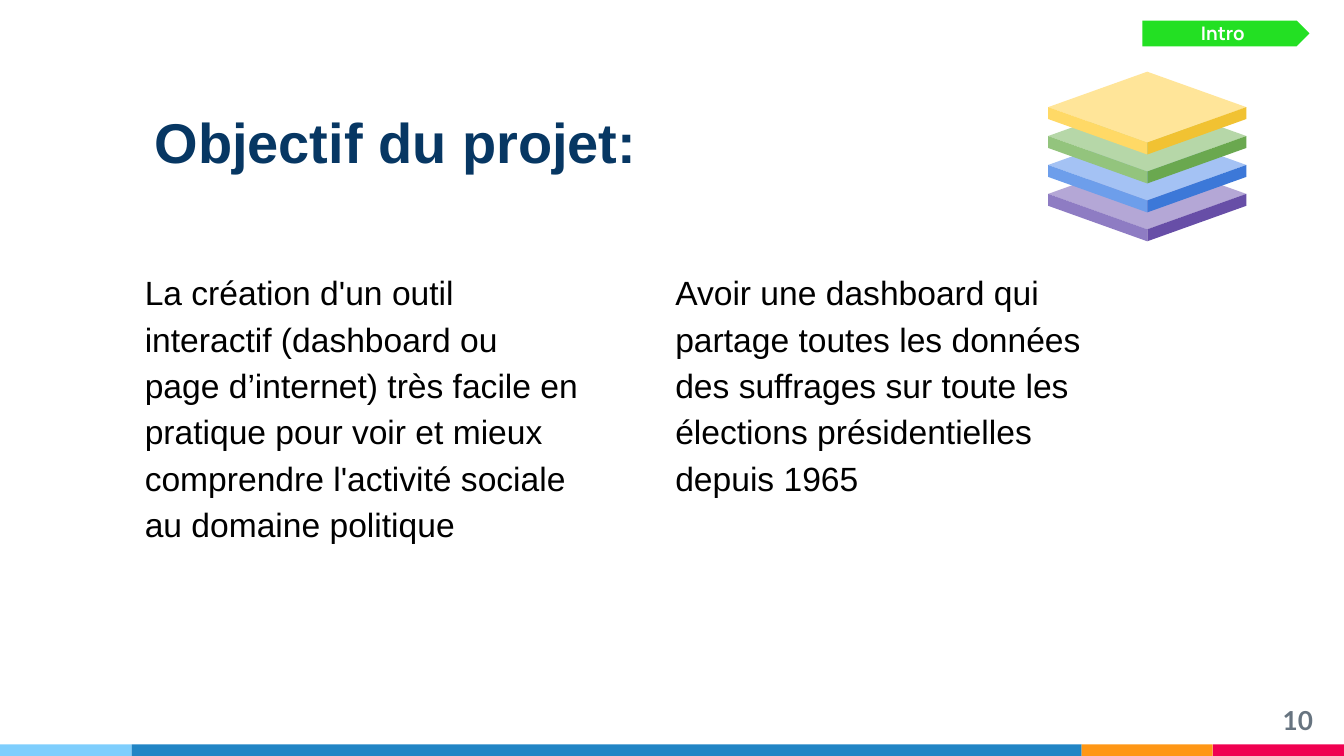
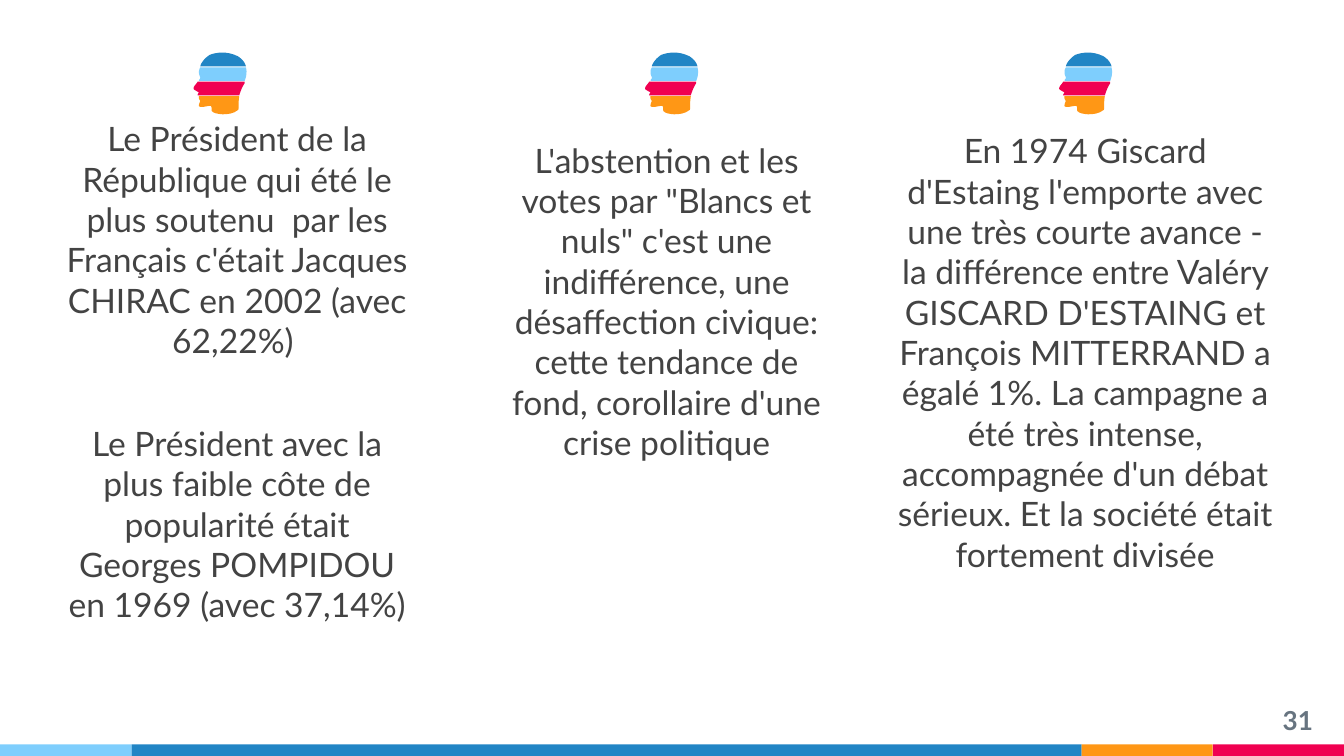
from dataclasses import dataclass

from pptx import Presentation
from pptx.dml.color import RGBColor
from pptx.enum.shapes import MSO_SHAPE
from pptx.enum.text import MSO_ANCHOR, MSO_AUTO_SIZE, PP_ALIGN
from pptx.util import Pt


@dataclass(frozen=True)
class Theme:
    sky: str = "7ECEFD"
    blue: str = "2185C5"
    orange: str = "FF9715"
    red: str = "F00051"
    navy: str = "073763"
    black: str = "000000"
    charcoal: str = "434343"
    slate: str = "677480"
    white: str = "FFFFFF"
    green: str = "23E023"
    plain_font: str = "Arial"
    lato_font: str = "Lato"
    tag_font: str = "Manrope"
    title_size: float = 30
    body_size: float = 18
    number_size: float = 14
    tag_size: float = 10
    inset: float = 7.2


THEME = Theme()

TITLE_STYLE = dict(name=THEME.plain_font, size=Pt(THEME.title_size), bold=True, color=THEME.navy)
GOAL_STYLE = dict(name=THEME.plain_font, size=Pt(THEME.body_size), color=THEME.black)
FINDING_STYLE = dict(name=THEME.lato_font, size=Pt(THEME.body_size), color=THEME.charcoal)
NUMBER_STYLE = dict(name=THEME.lato_font, size=Pt(THEME.number_size), bold=True, color=THEME.slate)
TAG_STYLE = dict(name=THEME.tag_font, size=Pt(THEME.tag_size), bold=True, color=THEME.white)

BANDS = [(THEME.sky, 70.5), (THEME.blue, 509), (THEME.orange, 70.25), (THEME.red, 70.25)]

LAYERS = [
    ("B4A7D6", "8E7CC3", "674EA7"),
    ("A4C2F4", "6D9EEB", "3C78D8"),
    ("B6D7A8", "93C47D", "6AA84F"),
    ("FFE599", "FFD966", "F1C232"),
]

HEAD_UNIT = 0.72
HEAD_PARTS = [
    (THEME.orange, [
        (4, 33.7), (4, 35), (4, 36, 5, 37, 5, 37), (5, 38, 4, 39, 4, 41),
        (5, 43, 13, 40, 13, 41), (14, 42, 13, 45, 14, 45),
        (15, 47, 27, 49, 33, 44), (34, 44, 33, 41, 34, 33.7),
    ]),
    (THEME.red, [
        (0, 28), (0, 29, 3, 30, 4, 31), (4, 31, 3, 32, 3, 33), (4, 33.1),
        (34, 33.1), (35, 30, 36, 27, 38, 24), (38, 22.9), (3, 22.9),
        (2, 25, 0, 26, 0, 28),
    ]),
    (THEME.sky, [
        (4, 16), (4, 18, 5, 19, 5, 20), (5, 21, 4, 21, 4, 22.3), (38, 22.3),
        (39, 20, 40, 16, 39, 12.2), (5, 12.2), (4, 14, 4, 15, 4, 16),
    ]),
    (THEME.blue, [
        (33, 4), (25, 0, 17, 1, 12, 3), (9, 5, 6, 8, 5, 11.5), (39, 11.5),
        (38, 8, 36, 6, 33, 4),
    ]),
]


def set_all(target, values):
    for name, value in values.items():
        setattr(target, name, value)


def paint(shape, color):
    shape.shadow.inherit = False
    shape.fill.solid()
    shape.fill.fore_color.rgb = RGBColor.from_string(color)
    shape.line.fill.background()


def place(shape, left, top, width, height):
    set_all(shape, dict(left=Pt(left), top=Pt(top), width=Pt(width), height=Pt(height)))


def write(shape, texts, style, anchor=MSO_ANCHOR.TOP, gap=0, **layout):
    frame = shape.text_frame
    sides = ("left", "top", "right", "bottom")
    set_all(frame, {f"margin_{side}": Pt(THEME.inset) for side in sides})
    set_all(frame, dict(word_wrap=True, auto_size=MSO_AUTO_SIZE.NONE, vertical_anchor=anchor))
    for index, text in enumerate(texts):
        para = frame.add_paragraph() if index else frame.paragraphs[0]
        set_all(para, layout)
        if index:
            para.space_before = Pt(gap)
        span = para.add_run()
        span.text = text
        set_all(span.font, {key: value for key, value in style.items() if key != "color"})
        span.font.color.rgb = RGBColor.from_string(style["color"])


def add_text(page, area, texts, style, **options):
    box = page.shapes.add_textbox(*map(Pt, area))
    write(box, texts, style, **options)


def add_title(page, area, text):
    place(page.shapes.title, *area)
    write(page.shapes.title, [text], TITLE_STYLE, anchor=MSO_ANCHOR.BOTTOM, alignment=PP_ALIGN.LEFT)


def add_number(page, number):
    add_text(page, (667.4, 370.1, 43.2, 24.5), [number], NUMBER_STYLE, alignment=PP_ALIGN.RIGHT)


def add_tag(page, text):
    tag = page.shapes.add_shape(MSO_SHAPE.PENTAGON, Pt(612), Pt(11), Pt(89.5), Pt(13.8))
    paint(tag, THEME.green)
    write(tag, [text], TAG_STYLE, anchor=MSO_ANCHOR.MIDDLE, alignment=PP_ALIGN.CENTER)


def add_bands(deck, page):
    left = 0
    for index, (color, width) in enumerate(BANDS):
        band = page.shapes.add_shape(MSO_SHAPE.RECTANGLE, Pt(left), Pt(398.8), Pt(width), Pt(6.2))
        paint(band, color)
        band.element.nvSpPr.cNvPr.id = 100 + index
        deck.slide_master.shapes.element.append(band.element)
        left += width


def add_outline(page, points, color):
    start, *others = [(Pt(x), Pt(y)) for x, y in points]
    builder = page.shapes.build_freeform(*start)
    builder.add_line_segments(others, close=True)
    outline = builder.convert_to_shape()
    paint(outline, color)
    return outline


def add_layers(page, left, top, half_width=53.1, half_height=19, thickness=6.4, step=15.5):
    middle, right = left + half_width, left + 2 * half_width
    faces = []
    for index, colors in enumerate(LAYERS):
        peak = top + step * (len(LAYERS) - 1 - index)
        side, front = peak + half_height, peak + 2 * half_height
        lid = [(middle, peak), (left, side), (middle, front), (right, side)]
        walls = [
            [(edge, side), (edge, side + thickness), (middle, front + thickness), (middle, front)]
            for edge in (left, right)
        ]
        faces += [add_outline(page, points, color) for points, color in zip([lid, *walls], colors)]
    page.shapes.add_group_shape(faces)


def trace(steps, pieces=8):
    points = [steps[0]]
    for step in steps[1:]:
        if len(step) == 2:
            points.append(step)
            continue
        corners = [points[-1], step[:2], step[2:4], step[4:]]
        for piece in range(1, pieces + 1):
            t = piece / pieces
            weights = ((1 - t) ** 3, 3 * t * (1 - t) ** 2, 3 * t * t * (1 - t), t ** 3)
            points.append(tuple(
                sum(weight * corner[axis] for weight, corner in zip(weights, corners))
                for axis in (0, 1)
            ))
    return points


def add_head(page, left, top):
    parts = []
    for color, steps in HEAD_PARTS:
        points = [(left + x * HEAD_UNIT, top + y * HEAD_UNIT) for x, y in trace(steps)]
        parts.append(add_outline(page, points, color))
    page.shapes.add_group_shape(parts)


def build_goal(deck):
    page = deck.slides.add_slide(deck.slide_layouts[5])
    add_bands(deck, page)
    add_title(page, (75.6, 33.1, 509, 67.7), "Objectif du projet:")
    goals = [
        (70.5, 218.2, "La création d'un outil interactif (dashboard ou page d’internet) très facile en "
         "pratique pour voir et mieux comprendre l'activité sociale au domaine politique"),
        (354.7, 134.6, "Avoir une dashboard qui partage toutes les données des suffrages sur toute les "
         "élections présidentielles depuis 1965"),
    ]
    for left, height, text in goals:
        add_text(page, (left, 135.4, 247, height), [text], GOAL_STYLE, line_spacing=1.15)
    add_number(page, "10")
    add_layers(page, 561.5, 38.4)
    add_tag(page, "Intro")


def build_findings(deck):
    page = deck.slides.add_slide(deck.slide_layouts[6])
    add_number(page, "31")
    findings = [
        (103.7, (25.9, 56.2, 202.3, 303.1), [
            "Le Président de la République qui été le plus soutenu  par les Français c'était "
            "Jacques CHIRAC en 2002 (avec 62,22%) ",
            "Le Président avec la plus faible côte de popularité était Georges POMPIDOU "
            "en 1969 (avec 37,14%)",
        ]),
        (345.6, (259.2, 67.7, 195.8, 189.4), [
            "L'abstention et les votes par \"Blancs et nuls\" c'est une indifférence, une "
            "désaffection civique: cette tendance de fond, corollaire d'une crise politique",
        ]),
        (567.4, (473.4, 62.6, 216, 308.2), [
            "En 1974 Giscard d'Estaing l'emporte avec une très courte avance - la différence "
            "entre Valéry GISCARD D'ESTAING et François MITTERRAND a égalé 1%. La campagne a "
            "été très intense, accompagnée d'un débat sérieux. Et la société était fortement "
            "divisée",
        ]),
    ]
    for head_left, area, texts in findings:
        add_text(page, area, texts, FINDING_STYLE, gap=33.6, alignment=PP_ALIGN.CENTER)
        add_head(page, head_left, 27.3)


def main():
    deck = Presentation()
    set_all(deck, dict(slide_width=Pt(720), slide_height=Pt(405)))
    build_goal(deck)
    build_findings(deck)
    deck.save("out.pptx")


if __name__ == "__main__":
    main()
